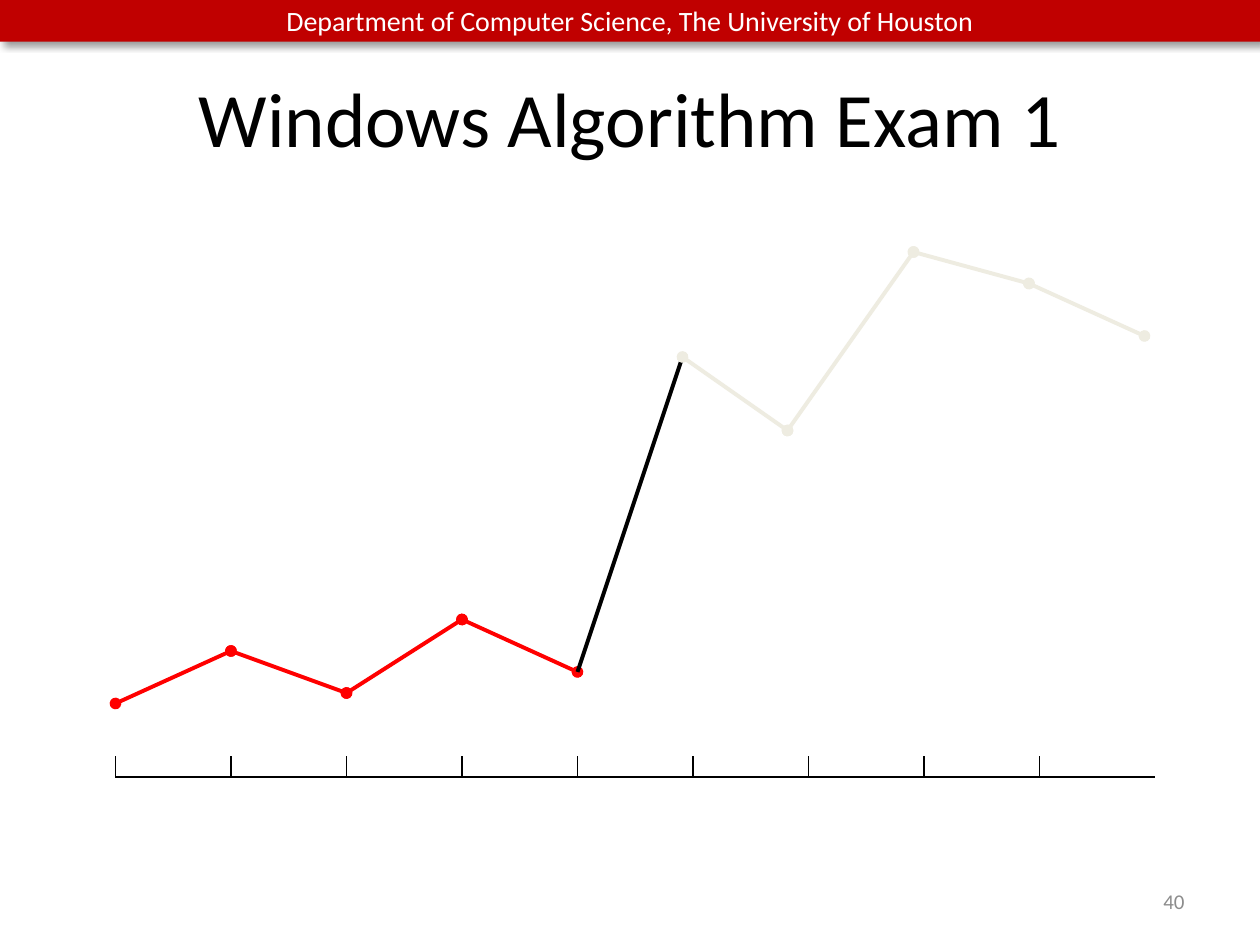
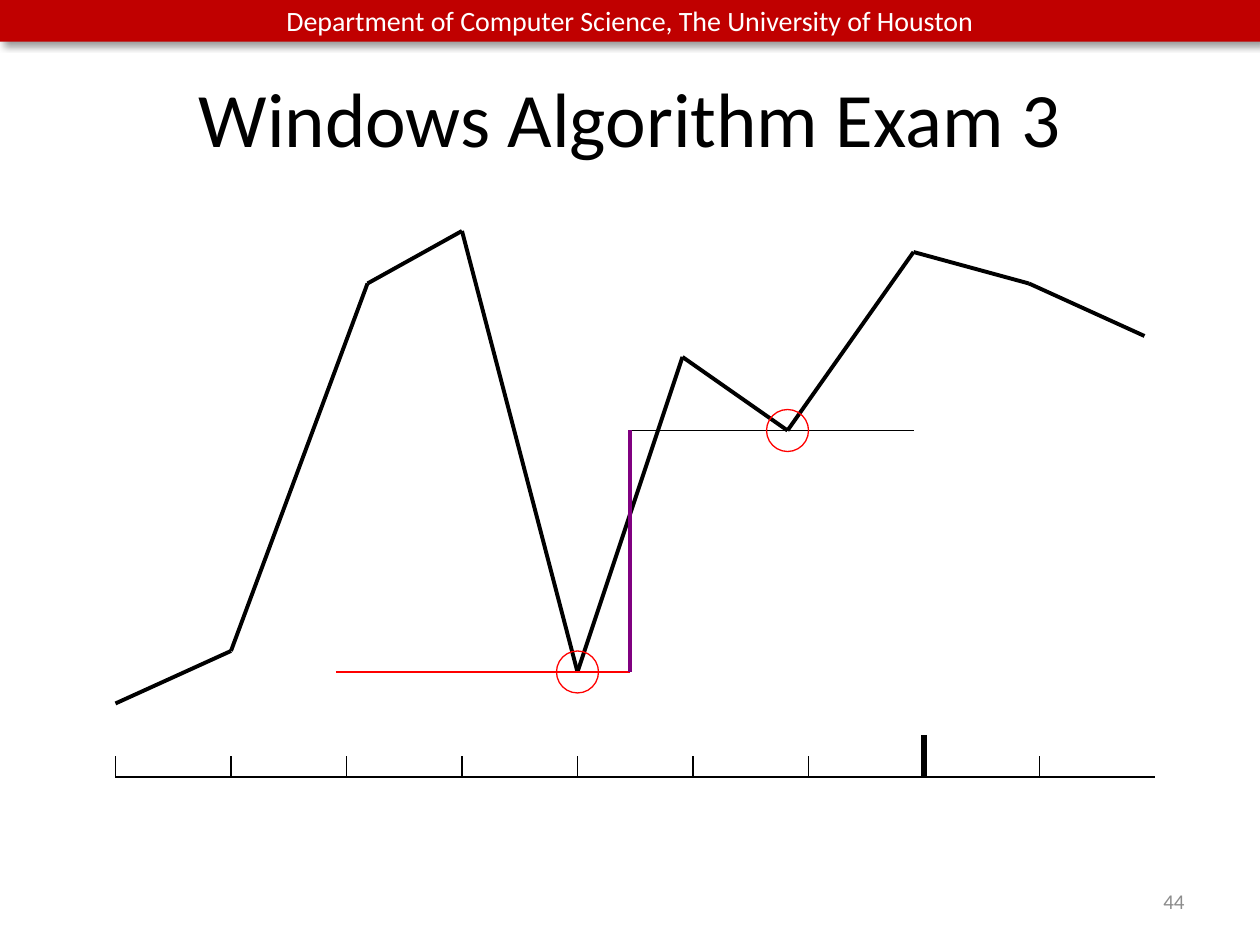
from itertools import pairwise

from lxml.etree import SubElement
from pptx import Presentation
from pptx.dml.color import RGBColor
from pptx.enum.shapes import MSO_CONNECTOR as Connector, MSO_SHAPE as Shape
from pptx.enum.text import MSO_ANCHOR as Anchor, PP_ALIGN as Align
from pptx.oxml.ns import qn
from pptx.util import Cm, Pt

# Content. Diagram points lie on a grid of twelfths of an inch.
HEADER = "Department of Computer Science, The University of Houston"
RED, BLACK, PALE, PURPLE = "FF0000", "000000", "EEECE1", "800080"
BAND_RED, WHITE, GREY = "C00000", "FFFFFF", "8C8C8C"
THIN, MEDIUM, THICK = 0.75, 2.25, 3

LATE_POINTS = [(55, 64), (65, 34), (75, 41), (87, 24), (98, 27), (109, 32)]
FLAT_START = [(11, 67), (22, 62), (33, 66), (44, 59)]
PEAK_START = [(11, 67), (22, 62), (35, 27), (44, 22)]

SLIDES = [
    {
        "title": "Windows Algorithm Exam 1",
        "number": "40",
        "curves": [  # points, colour, dots at the joints
            (FLAT_START + LATE_POINTS[:1], RED, True),
            (LATE_POINTS[:2], BLACK, False),
            (LATE_POINTS[1:], PALE, True),
        ],
        "bold_tick": None,
        "circles": [],
        "levels": [],
    },
    {
        "title": "Windows Algorithm Exam 3",
        "number": "44",
        "curves": [(PEAK_START + LATE_POINTS, BLACK, False)],
        "bold_tick": 7,
        "circles": [(55, 64), (75, 41)],
        "levels": [  # start, end, colour, width
            ((32, 64), (60, 64), RED, THIN),
            ((60, 41), (87, 41), BLACK, THIN),
            ((60, 41), (60, 64), PURPLE, MEDIUM),
        ],
    },
]

# Shared layout
GRID = 2.54 / 12
AXIS_LEFT, AXIS_Y, TICK_STEP, TICK_COUNT = 11, 74, 11, 9
TICK, BOLD_TICK, RADIUS = 2, 4, 2
FONT = "Calibri"
BAND_BOX = (0, 0, 25.4, 0.84)
TITLE_BOX = (1.27, 0.76, 22.86, 3.18)
NUMBER_BOX = (18.2, 17.65, 5.93, 1.02)
TITLE_STYLE = {"size": Pt(44), "name": FONT}
HEADER_STYLE = {"size": Pt(16), "name": FONT}
NUMBER_STYLE = {"size": Pt(12), "name": FONT}


def colour(value):
    """Turn a hex string into a colour."""
    return RGBColor.from_string(value)


def grid(*steps):
    """Turn grid steps into lengths."""
    return [Cm(step * GRID) for step in steps]


def write(shape, text, style, ink, align):
    """Put one formatted, vertically centred line into a shape."""
    frame = shape.text_frame
    frame.word_wrap = True
    frame.vertical_anchor = Anchor.MIDDLE
    para = frame.paragraphs[0]
    para.alignment = align
    span = para.add_run()
    span.text = text
    span.font.color.rgb = colour(ink)
    for name, value in style.items():
        setattr(span.font, name, value)


def draw_line(shapes, start, end, ink, width, dots=False):
    """Draw a straight line between grid points, with optional oval ends."""
    line = shapes.add_connector(Connector.STRAIGHT, *grid(*start, *end))
    line.line.color.rgb = colour(ink)
    line.line.width = Pt(width)
    if dots:
        for end_name in ("a:headEnd", "a:tailEnd"):
            SubElement(line.line._get_or_add_ln(), qn(end_name), type="oval")
    SubElement(line.element.spPr, qn("a:effectLst"))


def draw_axis(page, bold_tick):
    """Draw the time axis as a group of segments and ticks."""
    shapes = page.shapes.add_group_shape().shapes
    for index in range(TICK_COUNT):
        x = AXIS_LEFT + index * TICK_STEP
        bold = index == bold_tick
        height, width = (BOLD_TICK, THICK) if bold else (TICK, THIN)
        draw_line(shapes, (x, AXIS_Y), (x + TICK_STEP, AXIS_Y), BLACK, THIN)
        draw_line(shapes, (x, AXIS_Y - height), (x, AXIS_Y), BLACK, width)


def draw_circle(page, x, y):
    """Ring a point of the curve."""
    ring = page.shapes.add_shape(
        Shape.OVAL, *grid(x - RADIUS, y - RADIUS, 2 * RADIUS, 2 * RADIUS))
    ring.shadow.inherit = False
    ring.fill.background()
    ring.line.color.rgb = colour(RED)
    ring.line.width = Pt(THIN)


def add_band(deck, page):
    """Build the header band on a page, then move it to the slide master."""
    band = page.shapes.add_shape(Shape.RECTANGLE, *map(Cm, BAND_BOX))
    band.fill.solid()
    band.fill.fore_color.rgb = colour(BAND_RED)
    band.line.fill.background()
    write(band, HEADER, HEADER_STYLE, WHITE, Align.CENTER)
    band.shadow.inherit = False
    effects = band.element.spPr.find(qn("a:effectLst"))
    shadow = SubElement(effects, qn("a:outerShdw"), blurRad=str(Pt(4)),
                        dist=str(Pt(3)), dir="2700000", algn="tl",
                        rotWithShape="0")
    shade = SubElement(shadow, qn("a:srgbClr"), val=BLACK)
    SubElement(shade, qn("a:alpha"), val="40000")
    deck.slide_master.element.cSld.spTree.insert(2, band.element)


def add_page(deck, content):
    """Add one slide with its title, diagram and number."""
    page = deck.slides.add_slide(deck.slide_layouts.get_by_name("Title Only"))
    title = page.shapes.title
    title.left, title.top, title.width, title.height = map(Cm, TITLE_BOX)
    write(title, content["title"], TITLE_STYLE, BLACK, Align.CENTER)

    draw_axis(page, content["bold_tick"])
    for points, ink, dots in content["curves"]:
        for start, end in pairwise(points):
            draw_line(page.shapes, start, end, ink, MEDIUM, dots)
    for level in content["levels"]:
        draw_line(page.shapes, *level)
    for x, y in content["circles"]:
        draw_circle(page, x, y)

    number = page.shapes.add_textbox(*map(Cm, NUMBER_BOX))
    write(number, content["number"], NUMBER_STYLE, GREY, Align.RIGHT)
    return page


deck = Presentation()
deck.slide_width, deck.slide_height = Cm(25.4), Cm(19.05)
pages = [add_page(deck, content) for content in SLIDES]
add_band(deck, pages[0])
deck.save("out.pptx")
